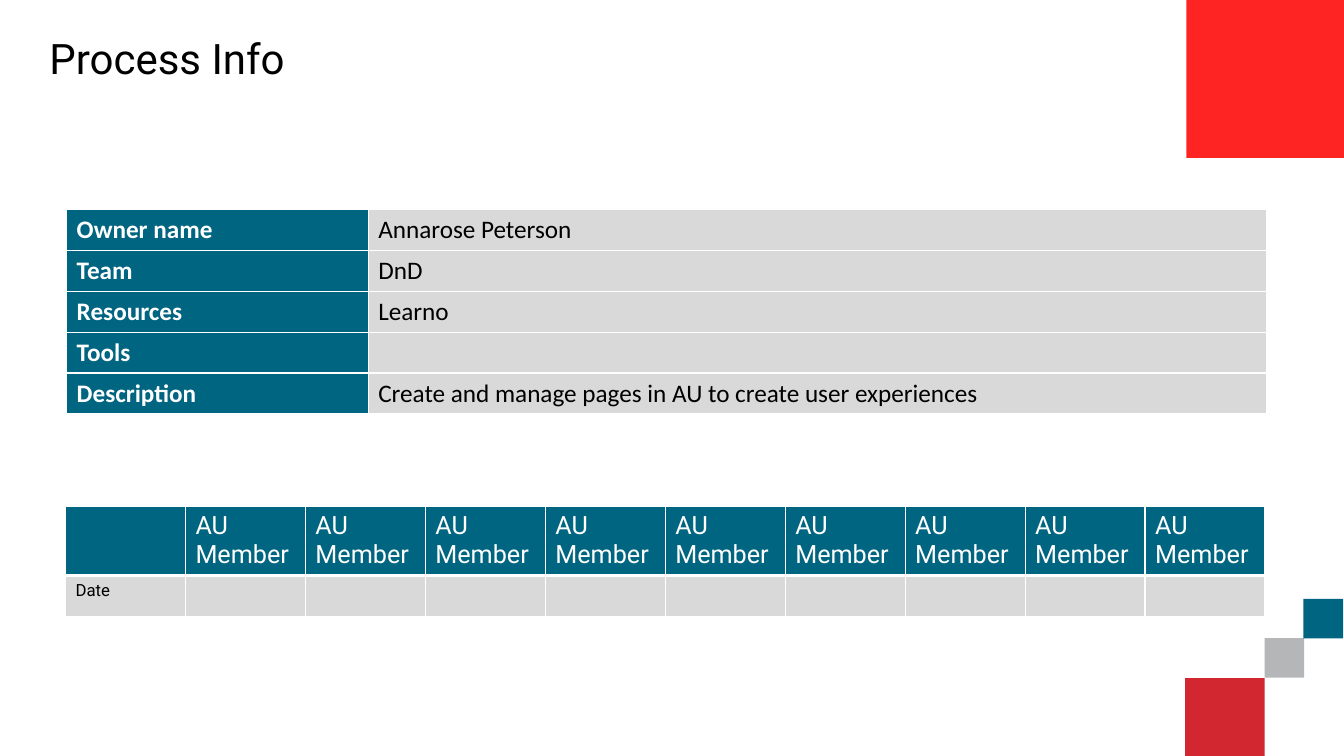
from dataclasses import dataclass

from lxml import etree
from pptx import Presentation
from pptx import util as u
from pptx.dml.color import RGBColor
from pptx.enum import shapes, text
from pptx.oxml import ns


@dataclass(frozen=True)
class Theme:
    teal: str = "006580"
    gray: str = "B4B6B8"
    crimson: str = "D22630"
    red: str = "FF2424"
    light: str = "D9D9D9"
    white: str = "FFFFFF"
    black: str = "000000"
    heading_font: str = "Roboto"
    body_font: str = "Calibri"
    title_size: int = 30
    body_size: int = 18
    small_size: int = 12


THEME = Theme()

PROCESS_INFO = [
    ("Owner name", "Annarose Peterson"),
    ("Team", "DnD"),
    ("Resources", "Learno"),
    ("Tools", ""),
    ("Description", "Create and manage pages in AU to create user experiences"),
]
MEMBER_COUNT = 9
TABLE_WIDTH = 30.23
ROW_HEIGHT = 1.03


def format_runs(paragraph, font_name, size, color, bold=False):
    for run in paragraph.runs:
        run.font.name = font_name
        run.font.size = u.Pt(size)
        run.font.bold = bold
        run.font.color.rgb = RGBColor.from_string(color)


def add_square(slide, left, top, side, color):
    shape = slide.shapes.add_shape(
        shapes.MSO_SHAPE.RECTANGLE, u.Cm(left), u.Cm(top), u.Cm(side), u.Cm(side)
    )
    shape.shadow.inherit = False
    shape.fill.solid()
    shape.fill.fore_color.rgb = RGBColor.from_string(color)
    shape.line.fill.background()


def add_title(slide, title):
    shape = slide.shapes.title
    shape.left, shape.top = u.Cm(0.99), u.Cm(0.3)
    shape.width, shape.height = u.Cm(29.49), u.Cm(2.49)
    shape.text_frame.text = title
    shape.text_frame.vertical_anchor = text.MSO_ANCHOR.MIDDLE
    paragraph = shape.text_frame.paragraphs[0]
    paragraph.alignment = text.PP_ALIGN.LEFT
    paragraph.line_spacing = 0.9
    format_runs(paragraph, THEME.heading_font, THEME.title_size, THEME.black)


def add_borders(cell, bottom_width):
    properties = cell._tc.get_or_add_tcPr()
    for side, width in (("L", 1), ("R", 1), ("T", 1), ("B", bottom_width)):
        line = etree.SubElement(properties, ns.qn(f"a:ln{side}"), w=str(u.Pt(width)))
        fill = etree.SubElement(line, ns.qn("a:solidFill"))
        etree.SubElement(fill, ns.qn("a:srgbClr"), val=THEME.white)


def fill_cell(cell, content, background, font_name, size, color, bold=False, bottom_width=1):
    add_borders(cell, bottom_width)
    cell.fill.solid()
    cell.fill.fore_color.rgb = RGBColor.from_string(background)
    cell.text_frame.text = content
    format_runs(cell.text_frame.paragraphs[0], font_name, size, color, bold)


def add_plain_table(slide, left, top, column_widths, row_heights):
    table = slide.shapes.add_table(
        len(row_heights), len(column_widths), u.Cm(left), u.Cm(top),
        u.Cm(sum(column_widths)), u.Cm(sum(row_heights)),
    ).table
    table.first_row = False
    table.horz_banding = False
    for column, width in zip(table.columns, column_widths):
        column.width = u.Cm(width)
    for row, height in zip(table.rows, row_heights):
        row.height = u.Cm(height)
    return table


def add_info_table(slide):
    label_width = 7.6
    table = add_plain_table(
        slide, 1.68, 5.28, [label_width, TABLE_WIDTH - label_width],
        [ROW_HEIGHT] * len(PROCESS_INFO),
    )
    for row, (label, value) in enumerate(PROCESS_INFO):
        fill_cell(table.cell(row, 0), label, THEME.teal,
                  THEME.body_font, THEME.body_size, THEME.white, bold=True)
        fill_cell(table.cell(row, 1), value, THEME.light,
                  THEME.body_font, THEME.body_size, THEME.black)


def add_member_table(slide):
    headers = [""] + ["AU Member"] * MEMBER_COUNT
    dates = ["Date"] + [""] * MEMBER_COUNT
    column_width = TABLE_WIDTH / len(headers)
    table = add_plain_table(
        slide, 1.65, 12.75, [column_width] * len(headers), [1.75, ROW_HEIGHT]
    )
    for column, (header, date) in enumerate(zip(headers, dates)):
        fill_cell(table.cell(0, column), header, THEME.teal,
                  THEME.heading_font, THEME.body_size, THEME.white, bottom_width=3)
        fill_cell(table.cell(1, column), date, THEME.light,
                  THEME.heading_font, THEME.small_size, THEME.black)


def main():
    presentation = Presentation()
    presentation.slide_width = u.Cm(33.87)
    presentation.slide_height = u.Cm(19.05)
    slide = presentation.slides.add_slide(presentation.slide_layouts[5])

    add_square(slide, 31.87, 16.08, 1, THEME.gray)
    add_square(slide, 32.85, 15.09, 1, THEME.teal)
    add_square(slide, 29.87, 17.09, 2, THEME.crimson)
    add_square(slide, 29.9, -0.02, 4, THEME.red)
    add_title(slide, "Process Info")
    add_info_table(slide)
    add_member_table(slide)

    presentation.save("out.pptx")


if __name__ == "__main__":
    main()
